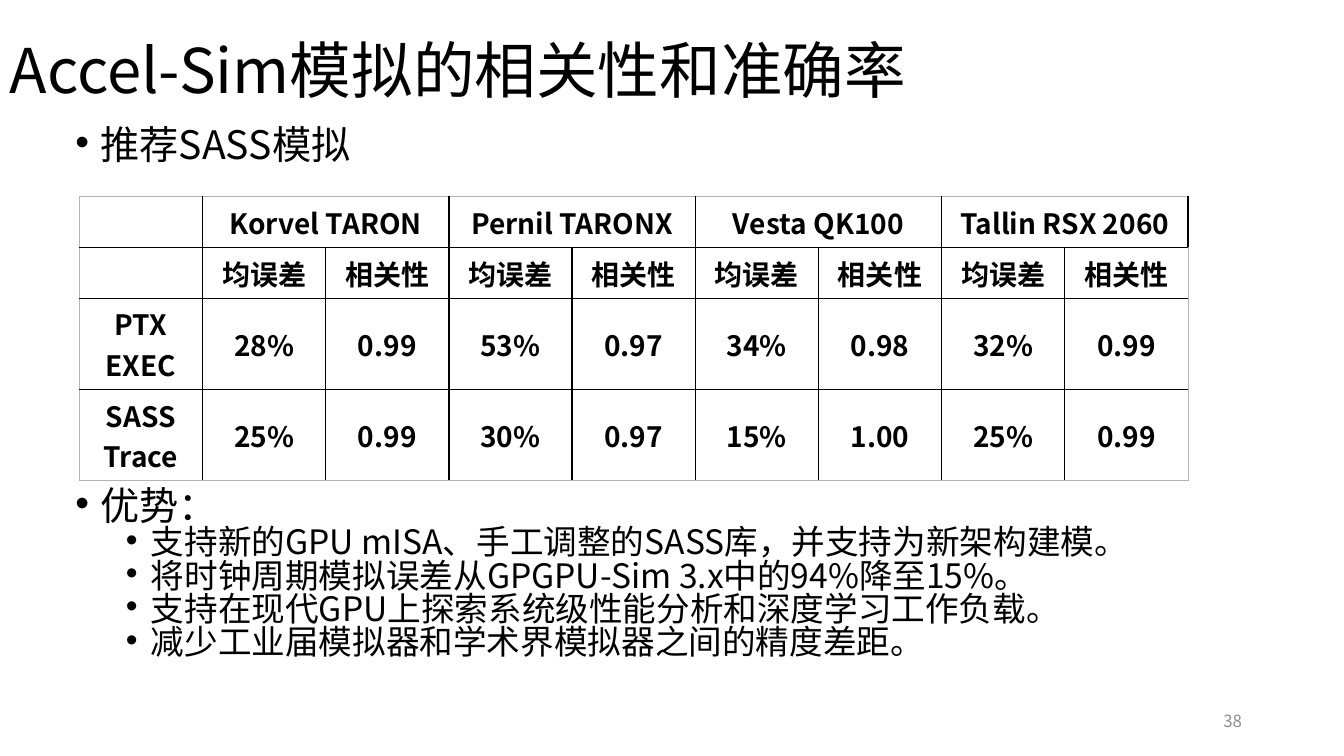
from dataclasses import dataclass

from lxml import etree
from pptx import Presentation
from pptx.dml.color import RGBColor
from pptx.enum.text import MSO_ANCHOR, PP_ALIGN
from pptx.oxml.ns import qn
from pptx.util import Pt

MIDDLE, TOP = MSO_ANCHOR.MIDDLE, MSO_ANCHOR.TOP
LEFT, CENTER, RIGHT = PP_ALIGN.LEFT, PP_ALIGN.CENTER, PP_ALIGN.RIGHT


@dataclass(frozen=True)
class Theme:
    ink: str = "000000"
    muted: str = "8C8C8C"
    frame: str = "B4B4B4"
    text_font: str = "Noto Sans CJK JP"
    table_font: str = "Noto Sans CJK SC"
    title: int = 44
    point: int = 28
    detail: int = 24
    cell: int = 20
    number: int = 12


@dataclass(frozen=True)
class Style:
    size: int
    font: str
    color: str
    align: PP_ALIGN = LEFT
    bold: bool = False
    spacing: float = 1.0
    before: float = 0
    indent: float = 0  # left margin of a bulleted paragraph


@dataclass(frozen=True)
class Block:
    left: float
    top: float
    width: float
    height: float
    anchor: MSO_ANCHOR
    lines: tuple  # pairs of text and Style


THEME = Theme()
TITLE = Style(THEME.title, THEME.text_font, THEME.ink, spacing=0.9)
POINT = Style(THEME.point, THEME.text_font, THEME.ink, spacing=0.65, before=10, indent=18)
DETAIL = Style(THEME.detail, THEME.text_font, THEME.ink, spacing=0.65, before=5, indent=54)
CELL = Style(THEME.cell, THEME.table_font, THEME.ink, CENTER, True)
NUMBER = Style(THEME.number, THEME.table_font, THEME.muted, RIGHT)

BLOCKS = (
    Block(0, 0, 828, 104.4, MIDDLE, (("Accel-Sim模拟的相关性和准确率", TITLE),)),
    Block(46.8, 93, 828, 40, TOP, (("推荐SASS模拟", POINT),)),
    Block(46.8, 351, 828, 150, TOP, (
        ("优势：", POINT),
        ("支持新的GPU mISA、手工调整的SASS库，并支持为新架构建模。", DETAIL),
        ("将时钟周期模拟误差从GPGPU-Sim 3.x中的94%降至15%。", DETAIL),
        ("支持在现代GPU上探索系统级性能分析和深度学习工作负载。", DETAIL),
        ("减少工业届模拟器和学术界模拟器之间的精度差距。", DETAIL),
    )),
    Block(678.2, 500.4, 216, 28.8, MIDDLE, (("38", NUMBER),)),
)

CARDS = ("Korvel TARON", "Pernil TARONX", "Vesta QK100", "Tallin RSX 2060")
METRICS = ("均误差", "相关性")
RESULTS = (
    ("PTX EXEC", "28%", "0.99", "53%", "0.97", "34%", "0.98", "32%", "0.99"),
    ("SASS Trace", "25%", "0.99", "30%", "0.97", "15%", "1.00", "25%", "0.99"),
)
TABLE_LEFT, TABLE_TOP, COLUMN_WIDTH = 56.7, 140.4, 88
ROW_HEIGHTS = (36.3, 36.3, 65.2, 65.2)


def set_all(target: object, values: dict) -> None:
    for name, value in values.items():
        setattr(target, name, value)


def write(para, text: str, style: Style) -> None:
    set_all(para, {"alignment": style.align, "line_spacing": style.spacing,
                   "space_before": Pt(style.before)})
    span = para.add_run()
    span.text = text
    set_all(span.font, {"size": Pt(style.size), "name": style.font, "bold": style.bold})
    span.font.color.rgb = RGBColor.from_string(style.color)
    # East Asian characters take the same typeface
    latin = span.font._element.find(qn("a:latin"))
    east_asian = etree.Element(qn("a:ea"), typeface=style.font)
    latin.addnext(east_asian)
    if style.indent:
        props = para._p.get_or_add_pPr()
        props.set("marL", str(Pt(style.indent)))
        props.set("indent", str(-Pt(18)))
        etree.SubElement(props, qn("a:buFont"), typeface="Arial")
        etree.SubElement(props, qn("a:buChar"), char="•")


def add_block(page, block: Block) -> None:
    box = page.shapes.add_textbox(Pt(block.left), Pt(block.top),
                                  Pt(block.width), Pt(block.height))
    frame = box.text_frame
    set_all(frame, {"word_wrap": True, "vertical_anchor": block.anchor})
    for index, (text, style) in enumerate(block.lines):
        para = frame.add_paragraph() if index else frame.paragraphs[0]
        write(para, text, style)


def draw_border(cell, side: str, color: str, width: float) -> None:
    line = etree.SubElement(cell._tc.get_or_add_tcPr(), qn(f"a:{side}"), w=str(Pt(width)))
    fill = etree.SubElement(line, qn("a:solidFill"))
    etree.SubElement(fill, qn("a:srgbClr"), val=color)


def add_results(page) -> None:
    header = ("",) + tuple(text for card in CARDS for text in (card, ""))
    rows = (header, ("",) + METRICS * len(CARDS)) + RESULTS
    row_count, column_count = len(rows), len(header)
    table = page.shapes.add_table(
        row_count, column_count, Pt(TABLE_LEFT), Pt(TABLE_TOP),
        Pt(COLUMN_WIDTH * column_count), Pt(sum(ROW_HEIGHTS))).table
    set_all(table, {"first_row": False, "horz_banding": False})
    for column in table.columns:
        column.width = Pt(COLUMN_WIDTH)
    for row, height in zip(table.rows, ROW_HEIGHTS):
        row.height = Pt(height)
    # Each card name covers its two metrics
    for left in range(1, column_count, len(METRICS)):
        table.cell(0, left).merge(table.cell(0, left + 1))
    for r, texts in enumerate(rows):
        for c, text in enumerate(texts):
            cell = table.cell(r, c)
            cell.vertical_anchor = MIDDLE
            if text:
                write(cell.text_frame.paragraphs[0], text, CELL)
            # Black rules inside, a pale hairline around
            outer = {"lnL": c == 0, "lnR": c == column_count - 1,
                     "lnT": r == 0, "lnB": r == row_count - 1}
            for side, is_outer in outer.items():
                draw_border(cell, side, THEME.frame if is_outer else THEME.ink,
                            0.5 if is_outer else 1)
            cell.fill.background()


def main() -> None:
    deck = Presentation()
    set_all(deck, {"slide_width": Pt(960), "slide_height": Pt(540)})
    page = deck.slides.add_slide(deck.slide_layouts[6])
    # Title, points and page number
    for block in BLOCKS:
        add_block(page, block)
    # Error and correlation per card
    add_results(page)
    deck.save("out.pptx")


if __name__ == "__main__":
    main()
